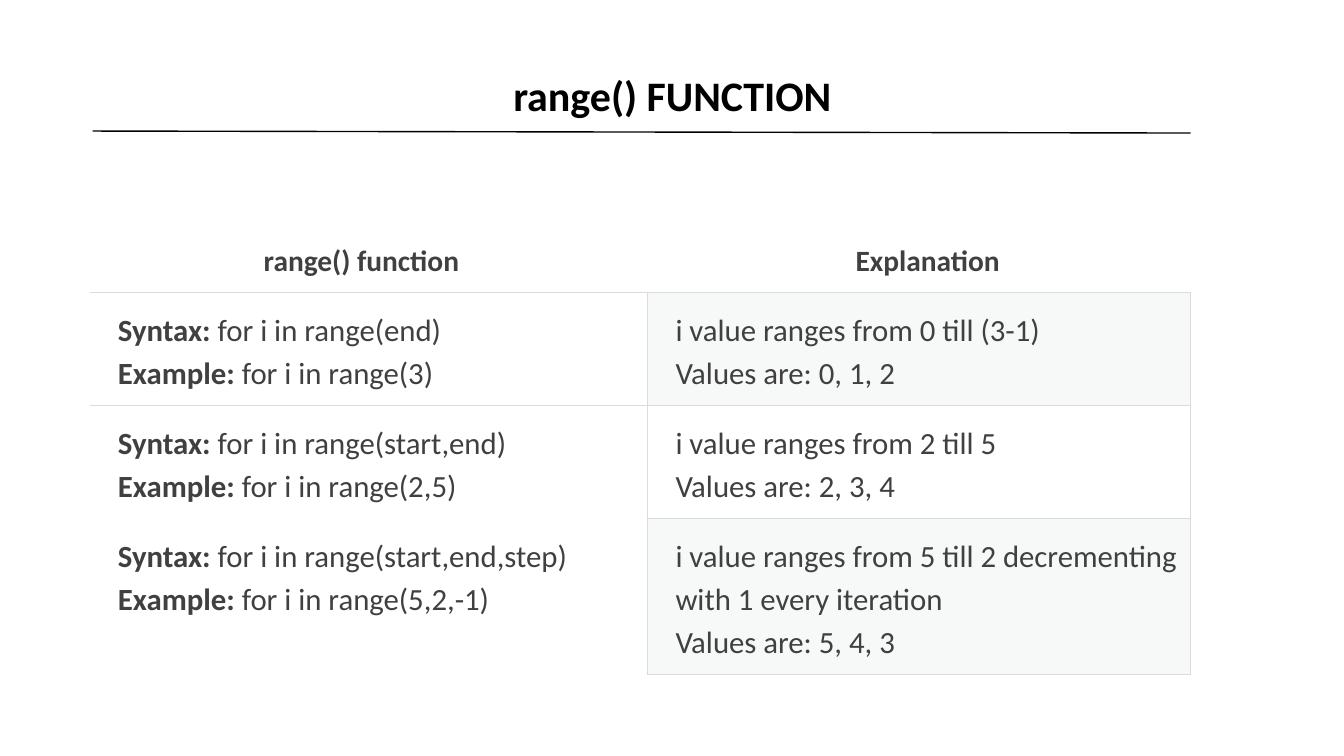
from lxml import etree
from pptx import Presentation
from pptx.dml.color import RGBColor
from pptx.enum import shapes, text
from pptx.oxml.ns import qn
from pptx.util import Emu, Pt

# Content: each cell is a list of lines, each line a list of (words, bold)
TITLE = "range() FUNCTION"
HEADS = ["range() function", "Explanation"]
CALLS = [
    ("range(end)", "range(3)",
     ["i value ranges from 0 till (3-1)", "Values are: 0, 1, 2"]),
    ("range(start,end)", "range(2,5)",
     ["i value ranges from 2 till 5", "Values are: 2, 3, 4"]),
    ("range(start,end,step)", "range(5,2,-1)",
     ["i value ranges from 5 till 2 decrementing with 1 every iteration",
      "Values are: 5, 4, 3"]),
]

BLACK = RGBColor(0x00, 0x00, 0x00)
GREY = RGBColor(0x40, 0x40, 0x40)
RULE = RGBColor(0xD8, 0xDC, 0xDC)
TINT = RGBColor(0xD8, 0xDE, 0xDC)
FONT = "Calibri"
NO_STYLE = "{2D5ABB26-0587-4C30-8999-92F81FD0307C}"

# Lengths in px, 100 to the inch
COLS = [553, 539]
ROWS = [63, 101, 101, 139]
RIGHT_PADS = [42, 11]


def px(n):
    return Emu(n * 9144)


def add_run(para, words, size, color, bold):
    run = para.add_run()
    run.text = words
    font = run.font
    font.name, font.size, font.bold = FONT, Pt(size), bold
    font.color.rgb = color


def add_edge(cell, side):
    line = etree.SubElement(cell._tc.get_or_add_tcPr(), qn("a:ln" + side), w=str(Pt(0.75)))
    fill = etree.SubElement(line, qn("a:solidFill"))
    etree.SubElement(fill, qn("a:srgbClr"), val=str(RULE))


def fill_cell(cell, lines, size, align, pad, edges, tinted):
    cell.margin_left, cell.margin_right = px(28), px(pad)
    cell.margin_top = cell.margin_bottom = px(14)
    frame = cell.text_frame
    for i, line in enumerate(lines):
        para = frame.add_paragraph() if i else frame.paragraphs[0]
        para.alignment, para.line_spacing = align, 1.15
        for words, bold in line:
            add_run(para, words, size, GREY, bold)
    for side in edges:
        add_edge(cell, side)
    if tinted:
        cell.fill.solid()
        cell.fill.fore_color.rgb = TINT
        color = cell._tc.tcPr.find(qn("a:solidFill"))[0]
        etree.SubElement(color, qn("a:alpha"), val="20000")
    else:
        cell.fill.background()


deck = Presentation()
deck.slide_width, deck.slide_height = px(1333), px(750)
slide = deck.slides.add_slide(deck.slide_layouts[6])

# Title
box = slide.shapes.add_textbox(px(92), px(63), px(1150), px(69))
frame = box.text_frame
frame.word_wrap = True
frame.vertical_anchor = text.MSO_ANCHOR.MIDDLE
frame.margin_left = frame.margin_right = frame.margin_top = frame.margin_bottom = 0
para = frame.paragraphs[0]
para.alignment, para.line_spacing = text.PP_ALIGN.CENTER, 0.9
para.space_after = Pt(6)
add_run(para, TITLE, 30, BLACK, True)

# Rule under the title
rule = slide.shapes.add_connector(
    shapes.MSO_CONNECTOR.STRAIGHT, px(92), px(130), px(1181), px(132))
rule.line.color.rgb, rule.line.width = BLACK, Pt(1)
etree.SubElement(rule._element.spPr, qn("a:effectLst"))

# Table frame
table = slide.shapes.add_table(
    len(ROWS), len(COLS), px(89), px(222), px(sum(COLS)), px(sum(ROWS))).table
table.first_row = table.horz_banding = False
table._tbl.tblPr.find(qn("a:tableStyleId")).text = NO_STYLE
for col, wide in zip(table.columns, COLS):
    col.width = px(wide)
for row, high in zip(table.rows, ROWS):
    row.height = px(high)

# Header row
for c, head in enumerate(HEADS):
    fill_cell(table.cell(0, c), [[(head, True)]], 21, text.PP_ALIGN.CENTER,
              RIGHT_PADS[c], "B", False)

# Body rows: odd rows have a tinted explanation
for r, (syntax, example, notes) in enumerate(CALLS, 1):
    code = [[("Syntax: ", True), ("for i in " + syntax, False)],
            [("Example: ", True), ("for i in " + example, False)]]
    told = [[(note, False)] for note in notes]
    fill_cell(table.cell(r, 0), code, 22, text.PP_ALIGN.LEFT,
              RIGHT_PADS[0], "RT" if r == 1 else "R", False)
    fill_cell(table.cell(r, 1), told, 22, text.PP_ALIGN.LEFT,
              RIGHT_PADS[1], "LRTB", r % 2 == 1)

deck.save("out.pptx")
